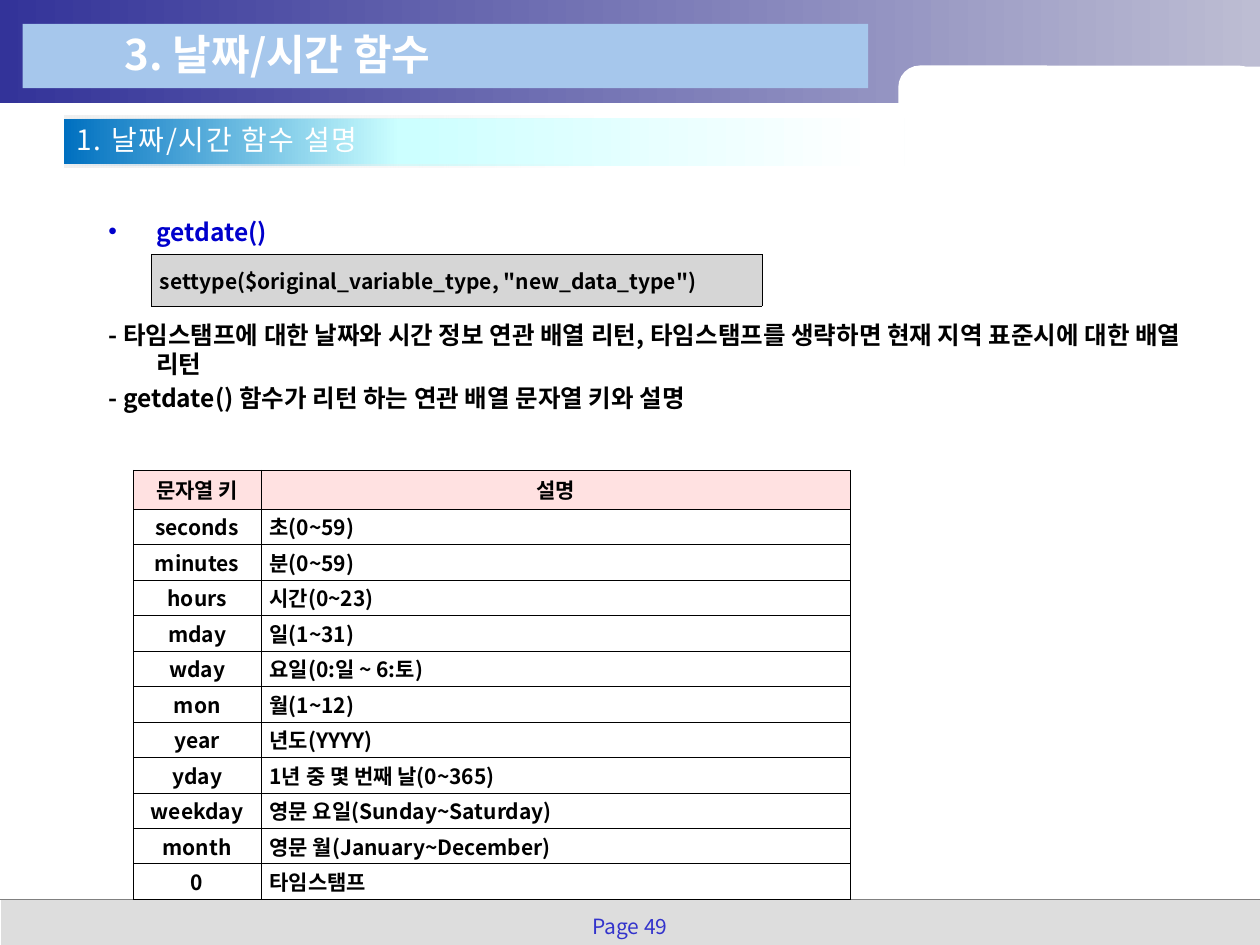
from lxml import etree
from pptx import Presentation
from pptx.dml.color import RGBColor
from pptx.enum.shapes import MSO_CONNECTOR, MSO_SHAPE
from pptx.enum.text import MSO_ANCHOR, MSO_AUTO_SIZE, PP_ALIGN
from pptx.oxml.ns import qn
from pptx.util import Inches, Pt

RECT, ROUND = MSO_SHAPE.RECTANGLE, MSO_SHAPE.ROUNDED_RECTANGLE
LEFT, CENTER, JUSTIFY = PP_ALIGN.LEFT, PP_ALIGN.CENTER, PP_ALIGN.JUSTIFY
TOP, MIDDLE = MSO_ANCHOR.TOP, MSO_ANCHOR.MIDDLE

FONT = "Noto Sans CJK KR"
BLACK = RGBColor(0x00, 0x00, 0x00)
WHITE = RGBColor(0xFF, 0xFF, 0xFF)
GRAY = RGBColor(0x80, 0x80, 0x80)
FOOTER_GRAY = RGBColor(0xDD, 0xDD, 0xDD)
TITLE_BLUE = RGBColor(0xA6, 0xC7, 0xEC)
PAGE_BLUE = RGBColor(0x33, 0x33, 0xCC)
FUNCTION_BLUE = RGBColor(0x00, 0x00, 0xCC)
CODE_GRAY = RGBColor(0xD6, 0xD6, 0xD6)
HEADER_PINK = RGBColor(0xFF, 0xE1, 0xE1)
SHADOW_NAVY = RGBColor(0x00, 0x00, 0x66)

# Gradient stops: position, colour, opacity (all in percent)
BANNER = [(0, RGBColor(0x33, 0x33, 0x99), 100), (100, RGBColor(0xBD, 0xBD, 0xD3), 100)]
HEADING = [(0, RGBColor(0x00, 0x70, 0xC0), 100),
           (40, RGBColor(0xCC, 0xFF, 0xFF), 100), (97, WHITE, 100)]
EDGE = [(0, RGBColor(0xF0, 0xF0, 0xF0), 100), (100, RGBColor(0xEA, 0xEA, 0xEA), 0)]

# Content
TITLE = "3. 날짜/시간 함수"
SUBTITLE = "1. 날짜/시간 함수 설명"
PAGE_LABEL = "Page 49"
CODE = 'settype($original_variable_type, "new_data_type")'
BODY = [  # text, colour, bullet, space before
    ("getdate()", FUNCTION_BLUE, "•", 0),
    ("- 타임스탬프에 대한 날짜와 시간 정보 연관 배열 리턴, 타임스탬프를 생략하면 "
     "현재 지역 표준시에 대한 배열 리턴", BLACK, None, 42),
    ("- getdate() 함수가 리턴 하는 연관 배열 문자열 키와 설명", BLACK, None, 2.8),
]
KEYS = [
    ("문자열 키", "설명"),
    ("seconds", "초(0~59)"),
    ("minutes", "분(0~59)"),
    ("hours", "시간(0~23)"),
    ("mday", "일(1~31)"),
    ("wday", "요일(0:일 ~ 6:토)"),
    ("mon", "월(1~12)"),
    ("year", "년도(YYYY)"),
    ("yday", "1년 중 몇 번째 날(0~365)"),
    ("weekday", "영문 요일(Sunday~Saturday)"),
    ("month", "영문 월(January~December)"),
    ("0", "타임스탬프"),
]
BACKDROP = [  # preset, (left, top, width, height), fill
    (RECT, (0.01, 7.14, 9.99, 0.39), FOOTER_GRAY),
    (RECT, (0, 0, 10, 0.82), BANNER),
    (ROUND, (7.13, 0.52, 2.87, 0.59), WHITE),
    (RECT, (9.1, 0.53, 0.9, 0.24), WHITE),
    (RECT, (0.18, 0.19, 6.71, 0.51), TITLE_BLUE),
    (RECT, (0.51, 0.94, 6.67, 0.38), HEADING),
    (RECT, (0.51, 0.92, 4.21, 0.02), EDGE),
    (RECT, (0.51, 1.31, 4.21, 0.02), EDGE),
]


def add_color(parent, color, opacity=100):
    node = etree.SubElement(parent, qn("a:srgbClr"), val=str(color))
    if opacity < 100:
        etree.SubElement(node, qn("a:alpha"), val=str(opacity * 1000))


def fill_gradient(shape, stops):
    shape.fill.gradient()
    shape.fill.gradient_angle = 0
    stop_list = shape.element.spPr.find(qn("a:gradFill")).find(qn("a:gsLst"))
    for old in list(stop_list):
        stop_list.remove(old)
    for position, color, opacity in stops:
        stop = etree.SubElement(stop_list, qn("a:gs"), pos=str(position * 1000))
        add_color(stop, color, opacity)


def add_panel(page, preset, place, fill):
    shape = page.shapes.add_shape(preset, *map(Inches, place))
    shape.shadow.inherit = False
    shape.line.fill.background()
    if preset == ROUND:
        shape.adjustments[0] = 0.29
    if isinstance(fill, list):
        fill_gradient(shape, fill)
    else:
        shape.fill.solid()
        shape.fill.fore_color.rgb = fill


def write(para, text, size, color, bold=False, align=LEFT):
    para.alignment = align
    span = para.add_run()
    span.text = text
    span.font.color.rgb = color
    for name, value in {"size": Pt(size), "bold": bold, "name": FONT}.items():
        setattr(span.font, name, value)
    props = span.font._element if hasattr(span.font, "_element") else span._r.get_or_add_rPr()
    etree.SubElement(props, qn("a:ea"), typeface=FONT)
    return props


def place_box(box, place, anchor=TOP):
    for name, value in zip(("left", "top", "width", "height"), place):
        setattr(box, name, Inches(value))
    settings = {"word_wrap": True, "auto_size": MSO_AUTO_SIZE.NONE, "vertical_anchor": anchor}
    for name, value in settings.items():
        setattr(box.text_frame, name, value)
    box.element.getparent().append(box.element)  # bring to front
    return box.text_frame


def set_hanging(para, bullet):
    props = para._p.get_or_add_pPr()
    props.set("marL", str(Inches(0.79)))
    props.set("indent", str(Inches(-0.38)))
    if bullet:
        etree.SubElement(props, qn("a:buChar"), char=bullet)
    else:
        etree.SubElement(props, qn("a:buNone"))


def fill_cell(cell, text, fill, align):
    margins = {"margin_left": 0.07, "margin_right": 0.07,
               "margin_top": 0.02, "margin_bottom": 0.02}
    for name, value in margins.items():
        setattr(cell, name, Inches(value))
    cell.vertical_anchor = MIDDLE
    write(cell.text_frame.paragraphs[0], text, 12, BLACK, True, align)
    props = cell._tc.get_or_add_tcPr()
    for side in ("a:lnL", "a:lnR", "a:lnT", "a:lnB"):
        border = etree.SubElement(props, qn(side), w=str(Pt(0.28)))
        add_color(etree.SubElement(border, qn("a:solidFill")), BLACK)
    if fill:
        cell.fill.solid()
        cell.fill.fore_color.rgb = fill
    else:
        cell.fill.background()


def add_grid(page, left, top, widths, heights):
    table = page.shapes.add_table(len(heights), len(widths), Inches(left), Inches(top),
                                  Inches(sum(widths)), Inches(sum(heights))).table
    table.first_row = table.horz_banding = False
    for column, width in zip(table.columns, widths):
        column.width = Inches(width)
    for row, height in zip(table.rows, heights):
        row.height = Inches(height)
    return table


def main():
    deck = Presentation()
    deck.slide_width, deck.slide_height = Inches(10), Inches(7.5)
    page = deck.slides.add_slide(deck.slide_layouts[1])

    # Banner, footer and heading bars
    for preset, place, fill in BACKDROP:
        add_panel(page, preset, place, fill)
    rule = page.shapes.add_connector(MSO_CONNECTOR.STRAIGHT, 0, Inches(7.14),
                                     Inches(10), Inches(7.14))
    rule.line.color.rgb = GRAY
    rule.line.width = Pt(1)
    etree.SubElement(rule.element.spPr, qn("a:effectLst"))

    # Title and body
    frame = place_box(page.shapes.title, (0.89, 0.18, 4.97, 0.5), MIDDLE)
    write(frame.paragraphs[0], TITLE, 24, WHITE, True)
    frame = place_box(page.placeholders[1], (0.35, 1.67, 9.21, 2))
    for index, (text, color, bullet, before) in enumerate(BODY):
        para = frame.paragraphs[0] if index == 0 else frame.add_paragraph()
        set_hanging(para, bullet)
        para.space_before = Pt(before)
        write(para, text, 14, color, True)

    # Section heading with a text shadow
    frame = place_box(page.shapes.add_textbox(0, 0, 0, 0), (0.51, 0.92, 6.7, 0.37))
    props = write(frame.paragraphs[0], SUBTITLE, 16, WHITE)
    props.set("spc", "100")
    effects = etree.Element(qn("a:effectLst"))
    shadow = etree.SubElement(effects, qn("a:outerShdw"), dist=str(Pt(1.5)), dir="2700000")
    add_color(shadow, SHADOW_NAVY)
    props.find(qn("a:solidFill")).addnext(effects)

    # Page label
    frame = place_box(page.shapes.add_textbox(0, 0, 0, 0), (4.55, 7.2, 0.9, 0.28))
    write(frame.paragraphs[0], PAGE_LABEL, 12, PAGE_BLUE, align=CENTER)

    # Code line and key table
    code = add_grid(page, 1.2, 2.02, [4.85], [0.41])
    fill_cell(code.cell(0, 0), CODE, CODE_GRAY, LEFT)
    keys = add_grid(page, 1.06, 3.73, [1.01, 4.68], [0.31] + [0.26] * (len(KEYS) - 1))
    for row, (key, meaning) in enumerate(KEYS):
        fill = HEADER_PINK if row == 0 else None
        fill_cell(keys.cell(row, 0), key, fill, CENTER)
        fill_cell(keys.cell(row, 1), meaning, fill, CENTER if row == 0 else JUSTIFY)

    deck.save("out.pptx")


if __name__ == "__main__":
    main()
